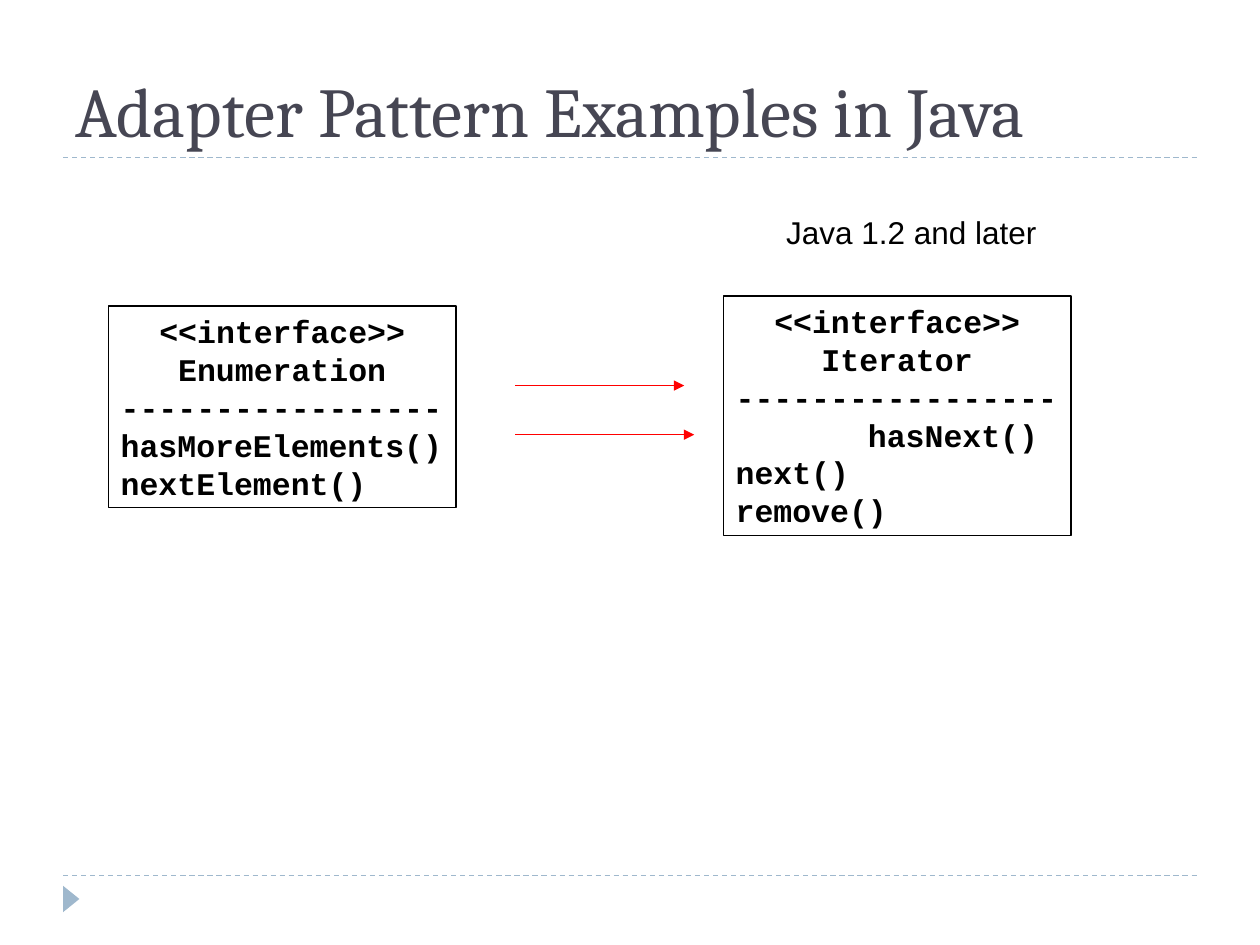
from pptx import Presentation
from pptx.dml.color import RGBColor
from pptx.enum.dml import MSO_LINE
from pptx.enum.shapes import MSO_CONNECTOR, MSO_SHAPE
from pptx.enum.text import MSO_ANCHOR, PP_ALIGN
from pptx.oxml.ns import qn
from pptx.util import Inches, Pt
from lxml import etree

STRAIGHT = MSO_CONNECTOR.STRAIGHT
RECTANGLE, TRIANGLE = MSO_SHAPE.RECTANGLE, MSO_SHAPE.ISOSCELES_TRIANGLE
CENTER, LEFT = PP_ALIGN.CENTER, PP_ALIGN.LEFT
TOP, BOTTOM = MSO_ANCHOR.TOP, MSO_ANCHOR.BOTTOM
DASH = MSO_LINE.DASH

BLACK = RGBColor(0x00, 0x00, 0x00)
RED = RGBColor(0xFF, 0x00, 0x00)
SLATE = RGBColor(0x46, 0x46, 0x53)
PALE_BLUE = RGBColor(0x9F, 0xB8, 0xCD)

deck = Presentation()
deck.slide_width, deck.slide_height = Inches(10), Inches(7.5)
page = deck.slides.add_slide(deck.slide_layouts[6])

# Grid of 100 columns by 75 rows
COL = deck.slide_width / 100
ROW = deck.slide_height / 75


def add_rule(left, right, row, color):
    rule = page.shapes.add_connector(
        STRAIGHT, int(left * COL), int(row * ROW), int(right * COL), int(row * ROW))
    rule.line.color.rgb = color
    rule.line.width = Pt(0.75)
    etree.SubElement(rule._element.spPr, qn("a:effectLst"))
    return rule


def write(box, lines, font, size, color, anchor=TOP, bold=False):
    frame = box.text_frame
    frame.vertical_anchor = anchor
    frame.text = "\n".join(lines)
    for para in frame.paragraphs:
        para.alignment = LEFT
        para.font.name, para.font.size = font, Pt(size)
        para.font.color.rgb, para.font.bold = color, bold
    return frame


# Dashed rules and the footer marker
for row in (69.5, 12.5):
    add_rule(5, 95, row, PALE_BLUE).line.dash_style = DASH
marker = page.shapes.add_shape(
    TRIANGLE, int(4.6 * COL), int(70.7 * ROW), int(2.1 * COL), int(1.3 * ROW))
marker.rotation = 90
marker.shadow.inherit = False
marker.fill.solid()
marker.fill.fore_color.rgb = PALE_BLUE
marker.line.fill.background()

# Title
title = page.shapes.add_textbox(
    int(5 * COL), int(1.7 * ROW), int(90 * COL), int(10.8 * ROW))
write(title, ["Adapter Pattern Examples in Java"],
      "Cambria", 40, SLATE, BOTTOM).word_wrap = True

# Interface boxes: left, top, height, lines
DIVIDER = "-" * 17
interfaces = [
    (8.6, 24.3, 16, ["<<interface>> Enumeration", DIVIDER,
                     "hasMoreElements()", "nextElement()"]),
    (57.4, 23.5, 19, ["<<interface>> Iterator", DIVIDER,
                      "hasNext()", "next()", "remove()"]),
]
for left, top, height, lines in interfaces:
    box = page.shapes.add_shape(
        RECTANGLE, int(left * COL), int(top * ROW), int(27.6 * COL), int(height * ROW))
    box.shadow.inherit = False
    box.fill.background()
    box.line.color.rgb = BLACK
    box.line.width = Pt(0.75)
    frame = write(box, lines, "Courier New", 18, BLACK, bold=True)
    frame.word_wrap = True
    frame.paragraphs[0].alignment = CENTER
    for para in frame.paragraphs:
        if para.text == "hasNext()":
            para._p.get_or_add_pPr().set("marL", str(int(10.5 * COL)))

# Version label
label = page.shapes.add_textbox(
    int(61.4 * COL), int(16.4 * ROW), int(21.9 * COL), int(4 * ROW))
write(label, ["Java 1.2 and later"], "Arial", 18, BLACK).word_wrap = False

# Arrows from the old methods to the new ones
for right, row in ((54.3, 30.6), (55.1, 34.5)):
    arrow = add_rule(40.9, right, row, RED)
    etree.SubElement(arrow.line._get_or_add_ln(), qn("a:tailEnd"), type="triangle")

deck.save("out.pptx")
